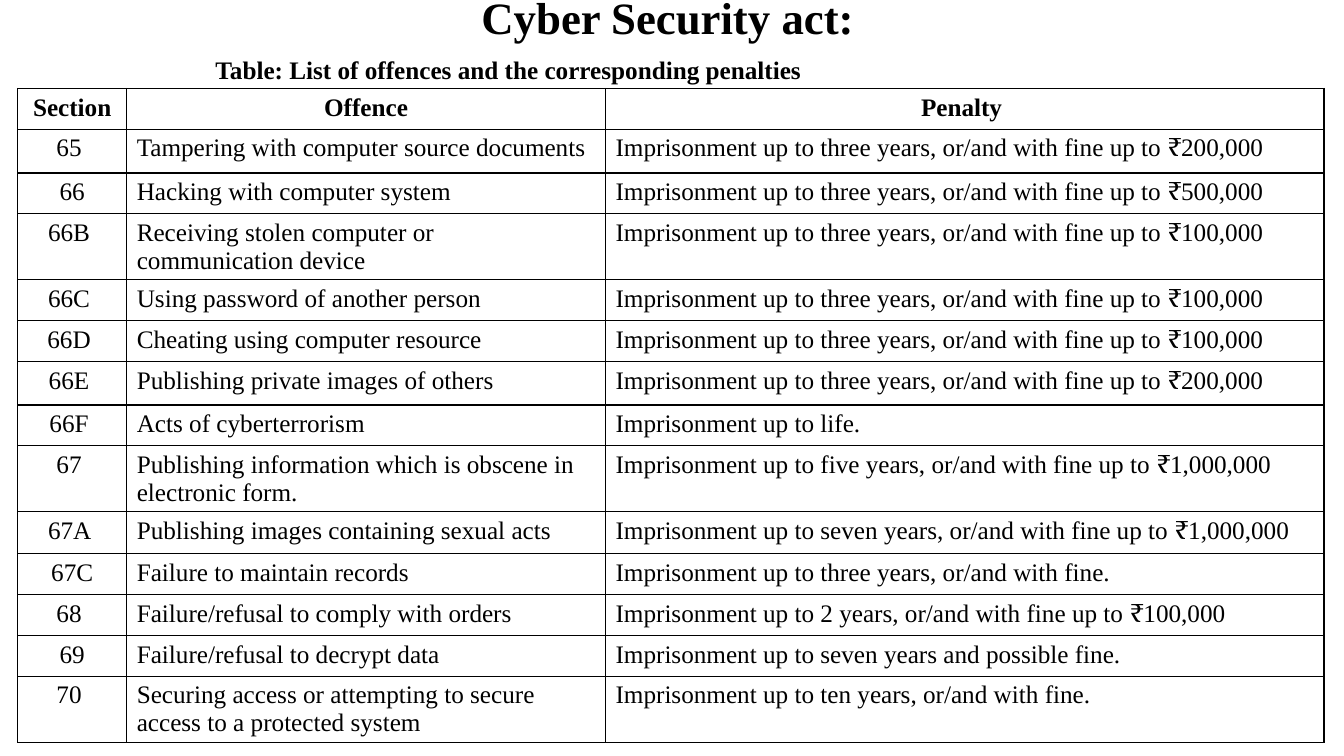
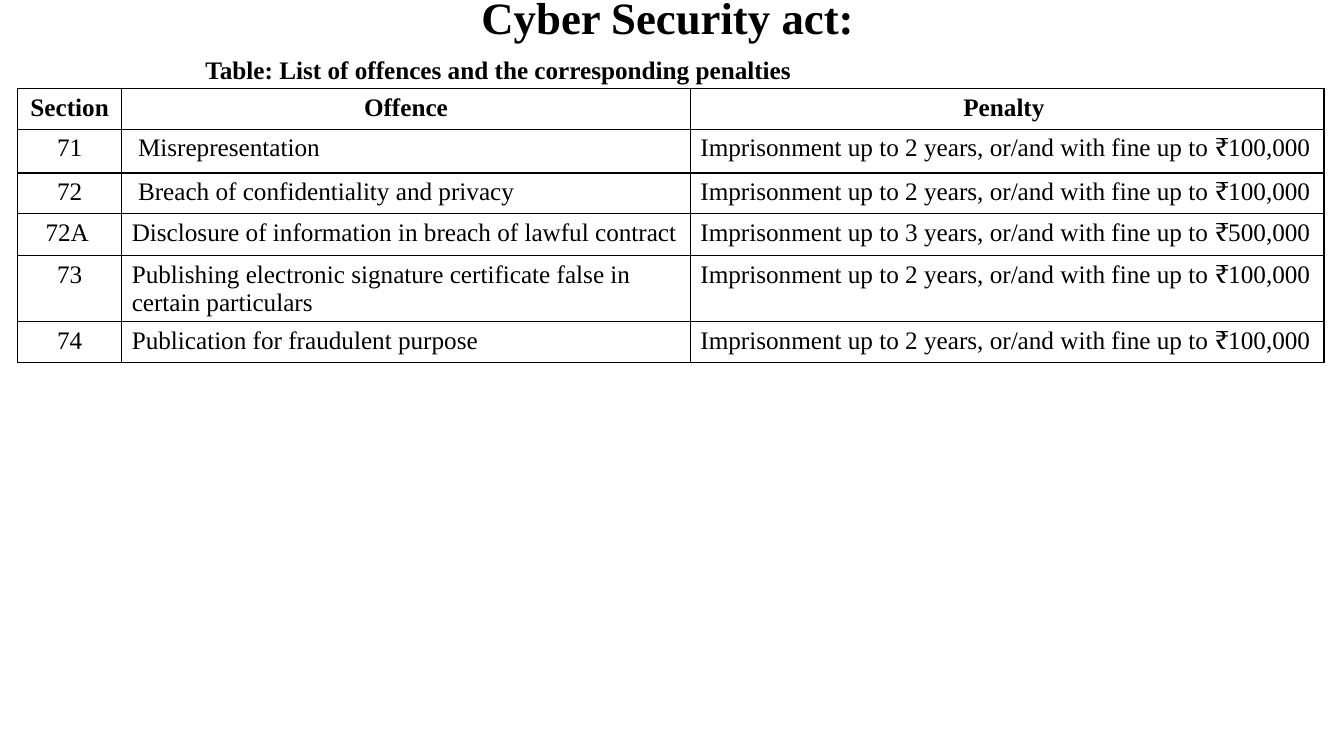
from pptx import Presentation
from pptx.dml.color import RGBColor
from pptx.enum.text import MSO_ANCHOR, PP_ALIGN
from pptx.oxml.ns import qn
from pptx.util import Pt
from lxml import etree

CENTER, LEFT, JUSTIFY = PP_ALIGN.CENTER, PP_ALIGN.LEFT, PP_ALIGN.JUSTIFY
MIDDLE = MSO_ANCHOR.MIDDLE

FONT = "Times New Roman"
BLACK = "000000"
TITLE_SIZE, TEXT_SIZE = 32, 18
TITLE_BOX = (45, -13, 864, 50)
TABLE_LEFT, TABLE_TOP = 12.6, 63.2
ROW_HEIGHT = 29.2
CELL_MARGIN = 7.2
CAPTION_INDENT = 139.5
HEADER = ("Section", "Offence", "Penalty ")


def fine(term, amount):
    """Word a penalty that combines prison and a maximum fine."""
    return f"Imprisonment up to {term}, or/and with fine up to ₹{amount}"


OFFENCES_65_TO_70 = [
    ("65 ", "Tampering with computer source documents", fine("three years", "200,000")),
    ("66", "Hacking with computer system", fine("three years", "500,000")),
    ("66B ", "Receiving stolen computer or communication device", fine("three years", "100,000")),
    ("66C ", "Using password of another person", fine("three years", "100,000")),
    ("66D ", "Cheating using computer resource", fine("three years", "100,000")),
    ("66E ", "Publishing private images of others", fine("three years", "200,000")),
    ("66F ", "Acts of cyberterrorism", "Imprisonment up to life."),
    ("67 ", "Publishing information which is obscene in electronic form.",
     fine("five years", "1,000,000")),
    ("67A ", "Publishing images containing sexual acts", fine("seven years", "1,000,000")),
    ("67C", "Failure to maintain records", "Imprisonment up to three years, or/and with fine."),
    ("68 ", "Failure/refusal to comply with orders", fine("2 years", "100,000")),
    ("69", "Failure/refusal to decrypt data", "Imprisonment up to seven years and possible fine."),
    ("70 ", "Securing access or attempting to secure access to a protected system",
     "Imprisonment up to ten years, or/and with fine."),
]

OFFENCES_71_TO_74 = [
    ("71", "Misrepresentation", fine("2 years", "100,000")),
    ("72", "Breach of confidentiality and privacy", fine("2 years", "100,000")),
    ("72A ", "Disclosure of information in breach of lawful contract",
     fine("3 years", "500,000")),
    ("73", "Publishing electronic signature certificate false in certain particulars",
     fine("2 years", "100,000")),
    ("74", "Publication for fraudulent purpose", fine("2 years", "100,000")),
]

SLIDES = [
    {"caption_box": (7.2, 35.5, 952.8, 504.5), "columns": (77.9, 342, 513.2),
     "rows": OFFENCES_65_TO_70, "tall_rows": {1: 31.2, 3: 30, 6: 31, 9: 30}, "inset_rows": ()},
    {"caption_box": (0, 35.5, 938, 356), "columns": (74.3, 406.2, 452.6),
     "rows": OFFENCES_71_TO_74, "tall_rows": {1: 31.2, 3: 30}, "inset_rows": (1, 2)},
]


def color(value):
    """Turn a hex string into a colour."""
    return RGBColor.from_string(value)


def place(shape, box):
    """Move and size a shape to a box given in points."""
    shape.left, shape.top, shape.width, shape.height = (Pt(length) for length in box)


def write(paragraph, text, alignment, size=TEXT_SIZE, bold=False):
    """Add one formatted run to a paragraph."""
    paragraph.alignment = alignment
    run = paragraph.add_run()
    run.text = text
    run.font.name, run.font.size, run.font.bold = FONT, Pt(size), bold
    run.font.color.rgb = color(BLACK)


def add_title(slide):
    """Fill the title placeholder."""
    title = slide.shapes.title
    place(title, TITLE_BOX)
    title.text_frame.vertical_anchor = MIDDLE
    write(title.text_frame.paragraphs[0], "Cyber Security act:", CENTER, TITLE_SIZE, True)


def add_caption(slide, box):
    """Fill the body placeholder with the indented table caption."""
    body = slide.placeholders[1]
    place(body, box)
    paragraph = body.text_frame.paragraphs[0]
    properties = paragraph._p.get_or_add_pPr()
    properties.set("marL", "0")
    properties.set("indent", str(Pt(CAPTION_INDENT)))
    etree.SubElement(properties, qn("a:buNone"))
    paragraph.space_before = Pt(0)
    write(paragraph, "Table: List of offences and the corresponding penalties", JUSTIFY, bold=True)


def add_borders(cell):
    """Draw a thin black line on all four sides of a cell."""
    properties = cell._tc.get_or_add_tcPr()
    for side in ("lnL", "lnR", "lnT", "lnB"):
        line = etree.SubElement(properties, qn(f"a:{side}"), w=str(Pt(1)))
        fill = etree.SubElement(line, qn("a:solidFill"))
        etree.SubElement(fill, qn("a:srgbClr"), val=BLACK)


def add_penalty_table(slide, left, top, columns, rows, tall_rows, inset_rows):
    """Add the table of sections, offences and penalties."""
    records = [HEADER, *rows]
    heights = [tall_rows.get(index, ROW_HEIGHT) for index in range(len(records))]
    table = slide.shapes.add_table(len(records), len(columns), Pt(left), Pt(top),
                                   Pt(sum(columns)), Pt(sum(heights))).table
    table.first_row = table.horz_banding = False
    for column, width in zip(table.columns, columns):
        column.width = Pt(width)
    for row_index, record in enumerate(records):
        table.rows[row_index].height = Pt(heights[row_index])
        is_header = row_index == 0
        for column_index, text in enumerate(record):
            cell = table.cell(row_index, column_index)
            add_borders(cell)
            cell.fill.background()
            if column_index == 1 and row_index in inset_rows:
                cell.margin_left = Pt(CELL_MARGIN + 4.5)
            alignment = CENTER if is_header or column_index == 0 else LEFT
            write(cell.text_frame.paragraphs[0], text, alignment, bold=is_header)


def add_offence_slide(presentation, caption_box, **table_parts):
    """Add one slide with title, caption and table."""
    slide = presentation.slides.add_slide(presentation.slide_layouts[1])
    add_title(slide)
    add_caption(slide, caption_box)
    add_penalty_table(slide, TABLE_LEFT, TABLE_TOP, **table_parts)


def main():
    """Build and save the presentation."""
    presentation = Presentation()
    presentation.slide_width, presentation.slide_height = Pt(960), Pt(540)
    for parts in SLIDES:
        add_offence_slide(presentation, **parts)
    presentation.save("out.pptx")


if __name__ == "__main__":
    main()
